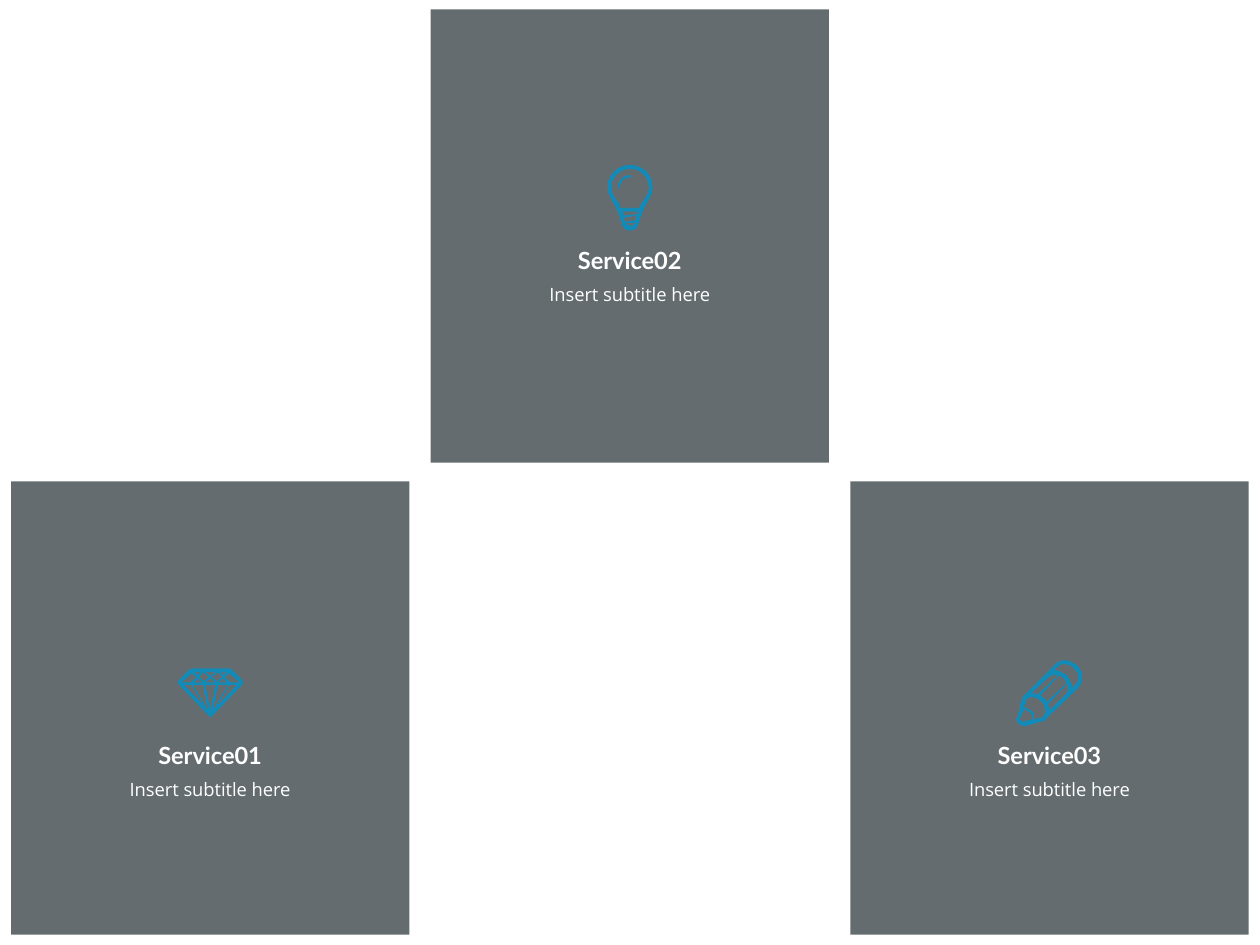
from dataclasses import dataclass

from lxml import etree
from pptx import Presentation
from pptx.dml.color import RGBColor
from pptx.enum import shapes, text
from pptx.oxml import ns
from pptx.util import Pt


@dataclass(frozen=True)
class Theme:
    card: RGBColor = RGBColor(0x31, 0x3C, 0x41)
    card_alpha: int = 75000
    icon: RGBColor = RGBColor(0x13, 0x8B, 0xB9)
    text: RGBColor = RGBColor(0xFF, 0xFF, 0xFF)
    name_size: float = 13.5
    subtitle_size: float = 10.5


theme = Theme()
UNIT = 0.72  # points per icon grid unit
CURVE_STEPS = 10

# An icon is a list of outlines, an outline a list of contours. Each contour step
# is a corner (x, y) or a Bézier curve (control 1, control 2, end).
diamond_middle = [
    [(51, 9), (43, 1), (41, 0), (11, 0), (9, 1), (1, 9), (0, 11),
     (1, 13), (24, 37), (26, 39), (28, 37), (51, 13), (52, 11)],
    [(30, 11), (22, 11), (26, 8)],
    [(30, 13), (26, 33), (22, 13)],
    [(26, 6), (22, 3), (30, 3)],
]
diamond_right = [
    [(27, 7), (32, 3), (35, 7), (31, 10)],
    [(32, 13), (40, 13), (28, 33)],
    [(32, 11), (36, 8), (39, 11)],
    [(34, 3), (39, 3), (36, 5)],
    [(41, 13), (47, 13), (31, 30)],
    [(42, 11), (37, 7), (41, 4), (49, 11)],
]
diamond_left = [[(52 - x, y) for x, y in facet] for facet in diamond_right]
diamond = [diamond_middle + diamond_right + diamond_left]

bulb_body = [
    [(18, 0), (8, 0, 0, 8, 0, 18), (0, 24, 6, 31, 8, 37), (12, 46, 11, 52, 18, 52),
     (25, 52, 24, 46, 28, 37), (30, 31, 36, 24, 36, 18), (36, 8, 28, 0, 18, 0)],
    [(22, 44), (14, 45), (13, 42), (23, 40), (23, 42)],
    [(13, 40), (12, 37), (24, 37), (24, 39)],
    [(18, 48), (16, 48, 16, 48, 15, 46), (22, 46), (21, 48, 20, 48, 18, 48)],
    [(26, 34), (10, 34), (10, 32, 9, 30, 8, 29), (5, 25, 3, 21, 3, 18),
     (3, 10, 10, 3, 18, 3), (26, 3, 33, 10, 33, 18), (33, 21, 31, 25, 28, 29),
     (27, 30, 26, 32, 26, 34)],
]
bulb_glint = [
    [(18, 8), (13, 8, 8, 12, 8, 18), (9, 18.5), (10, 18), (10, 13, 13, 10, 18, 10), (19, 9)],
]
bulb = [bulb_body, bulb_glint]

pencil = [[
    [(48, 4), (45, 2, 42, 0, 38, 0), (36, 0, 33, 1, 31, 3), (6, 28), (5, 29, 5, 30, 4, 31),
     (1, 45), (0, 46), (0, 50, 3, 52, 6, 52), (8, 52), (22, 48), (23, 48, 23, 47, 24, 46),
     (49, 22), (54, 17, 53, 9, 48, 4)],
    [(26, 39), (26, 37, 26, 36, 25, 35), (40, 19), (41, 22, 41, 25, 39, 27), (26, 40)],
    [(24, 33), (24, 32, 23, 31, 22, 30), (21, 29, 20, 29, 19, 28), (34, 12),
     (36, 13, 37, 14, 38, 15), (38, 16, 39, 16, 40, 18)],
    [(17, 27), (16, 27, 14, 26, 12, 26), (25, 14), (27, 12, 30, 11, 33, 12)],
    [(7, 48), (7, 49, 6, 49, 6, 49), (5, 49, 3, 48, 3, 46), (6, 39),
     (7, 39, 9, 40, 11, 42), (12, 43, 13, 45, 13, 47)],
    [(14, 47), (14, 44, 14, 42, 12, 40), (10, 39, 8, 38, 6, 37), (8, 32), (8, 31),
     (11, 28, 16, 29, 20, 33), (23, 36, 24, 42, 21, 45)],
    [(47, 19), (44, 22), (44, 18, 42, 15, 40, 12), (37, 10, 34, 8, 30, 8), (33, 5),
     (34, 4, 36, 3, 38, 3), (41, 3, 44, 5, 46, 7), (48, 9, 49, 11, 49, 14),
     (49, 16, 48, 18, 47, 19)],
]]


def flatten(contour, left, top):
    """Return the contour as slide points, with each curve cut into short lines."""
    points = []
    for step in contour:
        if len(step) == 2:
            points.append(step)
            continue
        x0, y0 = points[-1]
        x1, y1, x2, y2, x3, y3 = step
        for i in range(1, CURVE_STEPS + 1):
            t = i / CURVE_STEPS
            a, b, c, d = (1 - t) ** 3, 3 * t * (1 - t) ** 2, 3 * t * t * (1 - t), t ** 3
            points.append((a * x0 + b * x1 + c * x2 + d * x3, a * y0 + b * y1 + c * y2 + d * y3))
    return [(Pt(left + x * UNIT), Pt(top + y * UNIT)) for x, y in points]


def add_label(s, label, center, top, width, height, wrap, spacing, font):
    tf = s.shapes.add_textbox(Pt(center - width / 2), Pt(top), Pt(width), Pt(height)).text_frame
    tf.word_wrap = wrap
    tf.auto_size = text.MSO_AUTO_SIZE.SHAPE_TO_FIT_TEXT
    p = tf.paragraphs[0]
    p.alignment = text.PP_ALIGN.CENTER
    p.line_spacing = spacing
    r = p.add_run()
    r.text = label
    r.font.color.rgb = theme.text
    for key, value in font.items():
        setattr(r.font, key, value)


name_font = {"name": "Lato", "size": Pt(theme.name_size), "bold": True}
subtitle_font = {"name": "Open Sans", "size": Pt(theme.subtitle_size)}

prs = Presentation()
prs.slide_width, prs.slide_height = Pt(720), Pt(540)
s = prs.slides.add_slide(prs.slide_layouts[6])

CARD_W, CARD_H = 227.6, 259
FIRST_LEFT, COLUMN_PITCH = 6.3, 239.8
UPPER, LOWER = 5.4, 275.1

# name, card top, name top, icon, icon width and height in grid units
services = [
    ("Service01", LOWER, 419.8, diamond, 52, 39),
    ("Service02", UPPER, 136.8, bulb, 36, 52),
    ("Service03", LOWER, 419.8, pencil, 53, 52),
]

for column, (name, card_top, name_top, icon, icon_w, icon_h) in enumerate(services):
    left = FIRST_LEFT + column * COLUMN_PITCH
    center = left + CARD_W / 2

    card = s.shapes.add_shape(shapes.MSO_SHAPE.RECTANGLE,
                              Pt(left), Pt(card_top), Pt(CARD_W), Pt(CARD_H))
    card.shadow.inherit = False
    card.line.fill.background()
    card.fill.solid()
    card.fill.fore_color.rgb = theme.card
    color = card.fill._xPr.find(".//" + ns.qn("a:srgbClr"))
    etree.SubElement(color, ns.qn("a:alpha"), val=str(theme.card_alpha))

    add_label(s, name, center, name_top, 74.9, 23.8, False, None, name_font)
    add_label(s, "Insert subtitle here", center, name_top + 15.1, 147.6, 26.6,
              True, 1.5, subtitle_font)

    icon_left = center - icon_w * UNIT / 2
    icon_top = name_top - 23.8 - icon_h * UNIT / 2
    parent = s.shapes.add_group_shape() if len(icon) > 1 else s
    for outline in icon:
        first, *others = [flatten(contour, icon_left, icon_top) for contour in outline]
        builder = parent.shapes.build_freeform(*first[0])
        builder.add_line_segments(first[1:])
        for points in others:
            builder.move_to(*points[0])
            builder.add_line_segments(points[1:])
        sp = builder.convert_to_shape()
        sp.shadow.inherit = False
        sp.line.fill.background()
        sp.fill.solid()
        sp.fill.fore_color.rgb = theme.icon

prs.save("out.pptx")
